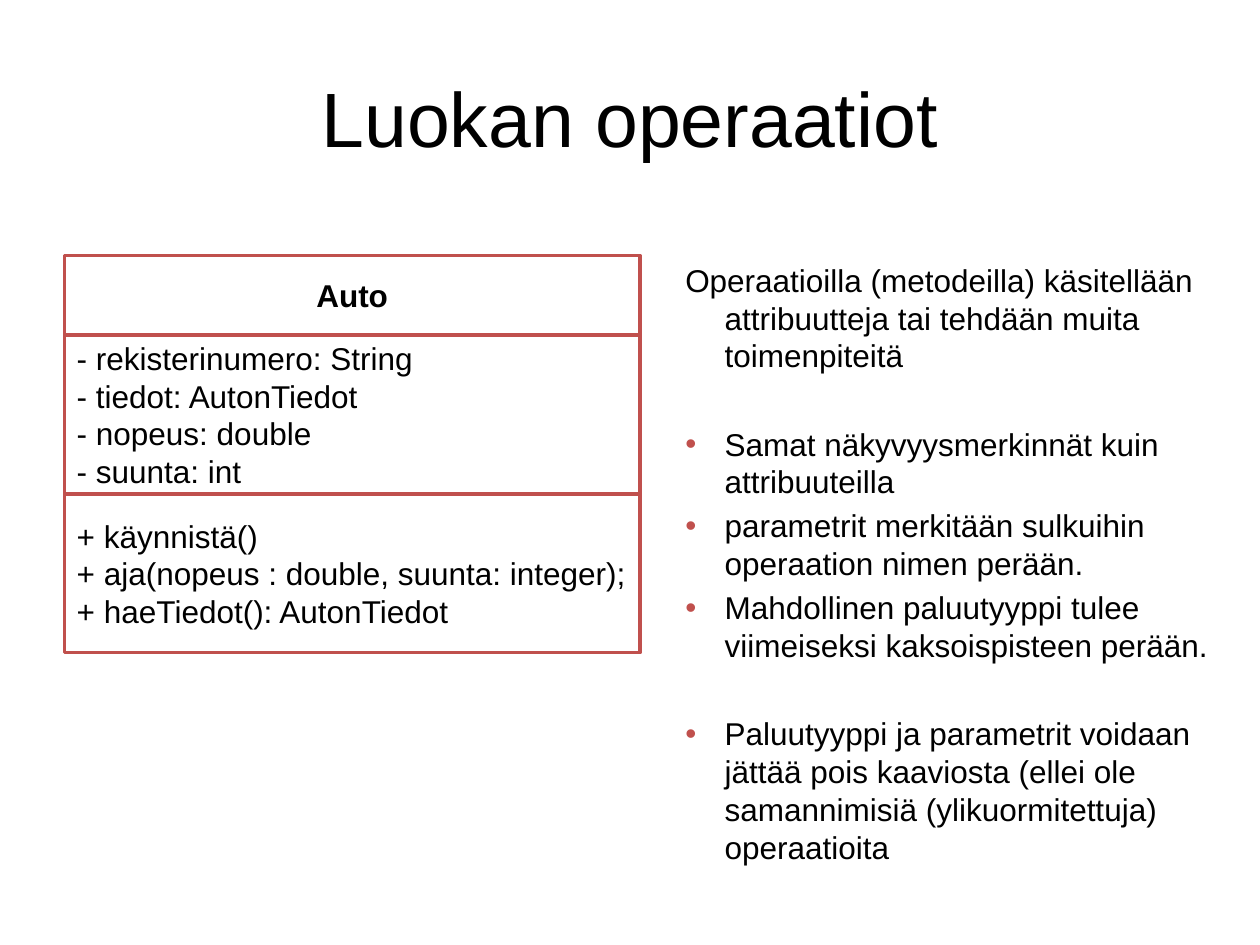
from lxml.etree import SubElement
from pptx import Presentation
from pptx.dml.color import RGBColor
from pptx.enum.shapes import MSO_SHAPE as SHAPE
from pptx.enum.text import MSO_ANCHOR as ANCHOR, PP_ALIGN as ALIGN
from pptx.oxml.ns import qn
from pptx.util import Pt

BLACK = RGBColor(0x00, 0x00, 0x00)
WHITE = RGBColor(0xFF, 0xFF, 0xFF)
RED = RGBColor(0xC0, 0x50, 0x4D)

TITLE_FONT = {"name": "Arial", "size": Pt(44), "bold": False}
BODY_FONT = {"name": "Arial", "size": Pt(18), "bold": False}
NAME_FONT = {**BODY_FONT, "bold": True}

CLASS_NAME = ["Auto"]
ATTRIBUTES = [
    "- rekisterinumero: String",
    "- tiedot: AutonTiedot",
    "- nopeus: double",
    "- suunta: int",
]
OPERATIONS = [
    "+ käynnistä()",
    "+ aja(nopeus : double, suunta: integer);",
    "+ haeTiedot(): AutonTiedot",
]
NOTES = [
    ("Operaatioilla (metodeilla) käsitellään attribuutteja tai tehdään muita toimenpiteitä", False, 3.6),
    ("Samat näkyvyysmerkinnät kuin attribuuteilla", True, 28.8),
    ("parametrit merkitään sulkuihin operaation nimen perään.", True, 3.6),
    ("Mahdollinen paluutyyppi tulee viimeiseksi kaksoispisteen perään.", True, 3.6),
    ("Paluutyyppi ja parametrit voidaan jättää pois kaaviosta (ellei ole samannimisiä (ylikuormitettuja) operaatioita",
     True, 28.8),
]


def add_text(p, text, font, align=ALIGN.LEFT):
    """Write one formatted run into a paragraph."""
    p.alignment = align
    r = p.add_run()
    r.text = text
    for key, value in font.items():
        setattr(r.font, key, value)
    r.font.color.rgb = BLACK


def set_bullet(p, indent, hanging, bullet):
    """Give a paragraph a hanging indent and, if asked, a red bullet."""
    pPr = p._p.get_or_add_pPr()
    pPr.set("marL", str(Pt(indent)))
    pPr.set("indent", str(-Pt(hanging)))
    if bullet:
        clr = SubElement(pPr, qn("a:buClr"))
        SubElement(clr, qn("a:srgbClr"), val=str(RED))
        SubElement(pPr, qn("a:buFont"), typeface="Arial")
        SubElement(pPr, qn("a:buChar"), char="•")
    else:
        SubElement(pPr, qn("a:buNone"))


def place_title(s, text, x, y, w, h):
    """Move and format the title placeholder."""
    sp = s.shapes.title
    sp.left, sp.top, sp.width, sp.height = Pt(x), Pt(y), Pt(w), Pt(h)
    sp.text_frame.vertical_anchor = ANCHOR.MIDDLE
    add_text(sp.text_frame.paragraphs[0], text, TITLE_FONT, ALIGN.CENTER)


def add_compartment(s, lines, x, y, w, h, font=BODY_FONT, align=ALIGN.LEFT):
    """Draw one outlined compartment of a class box."""
    sp = s.shapes.add_shape(SHAPE.RECTANGLE, Pt(x), Pt(y), Pt(w), Pt(h))
    sp.shadow.inherit = False
    sp.fill.solid()
    sp.fill.fore_color.rgb = WHITE
    sp.line.color.rgb = RED
    sp.line.width = Pt(2)
    tf = sp.text_frame
    tf.word_wrap = False
    tf.vertical_anchor = ANCHOR.MIDDLE
    for i, line in enumerate(lines):
        p = tf.add_paragraph() if i else tf.paragraphs[0]
        add_text(p, line, font, align)


def add_class_box(s, x, y, w, h):
    """Draw a UML class whose name takes one fifth of the height."""
    unit = h / 5
    add_compartment(s, ATTRIBUTES, x, y + unit, w, 2 * unit)
    add_compartment(s, OPERATIONS, x, y + 3 * unit, w, 2 * unit)
    add_compartment(s, CLASS_NAME, x, y, w, unit, NAME_FONT, ALIGN.CENTER)


def add_notes_text(s, x, y, w, h):
    """Write the explanation with its bulleted rules."""
    tf = s.shapes.add_textbox(Pt(x), Pt(y), Pt(w), Pt(h)).text_frame
    tf.word_wrap = True
    for i, (text, bullet, gap) in enumerate(NOTES):
        p = tf.add_paragraph() if i else tf.paragraphs[0]
        p.space_before = Pt(gap)
        set_bullet(p, 58.5, 22.5, bullet)
        add_text(p, text, BODY_FONT)


def main():
    """Build the slide and save it."""
    prs = Presentation()
    prs.slide_width, prs.slide_height = Pt(720), Pt(540)
    s = prs.slides.add_slide(prs.slide_layouts[5])
    place_title(s, "Luokan operaatiot", 36, 21.6, 648, 90)
    add_class_box(s, 36.8, 146, 329, 227)
    add_notes_text(s, 348.5, 145.5, 358.5, 374.5)
    prs.save("out.pptx")


if __name__ == "__main__":
    main()
